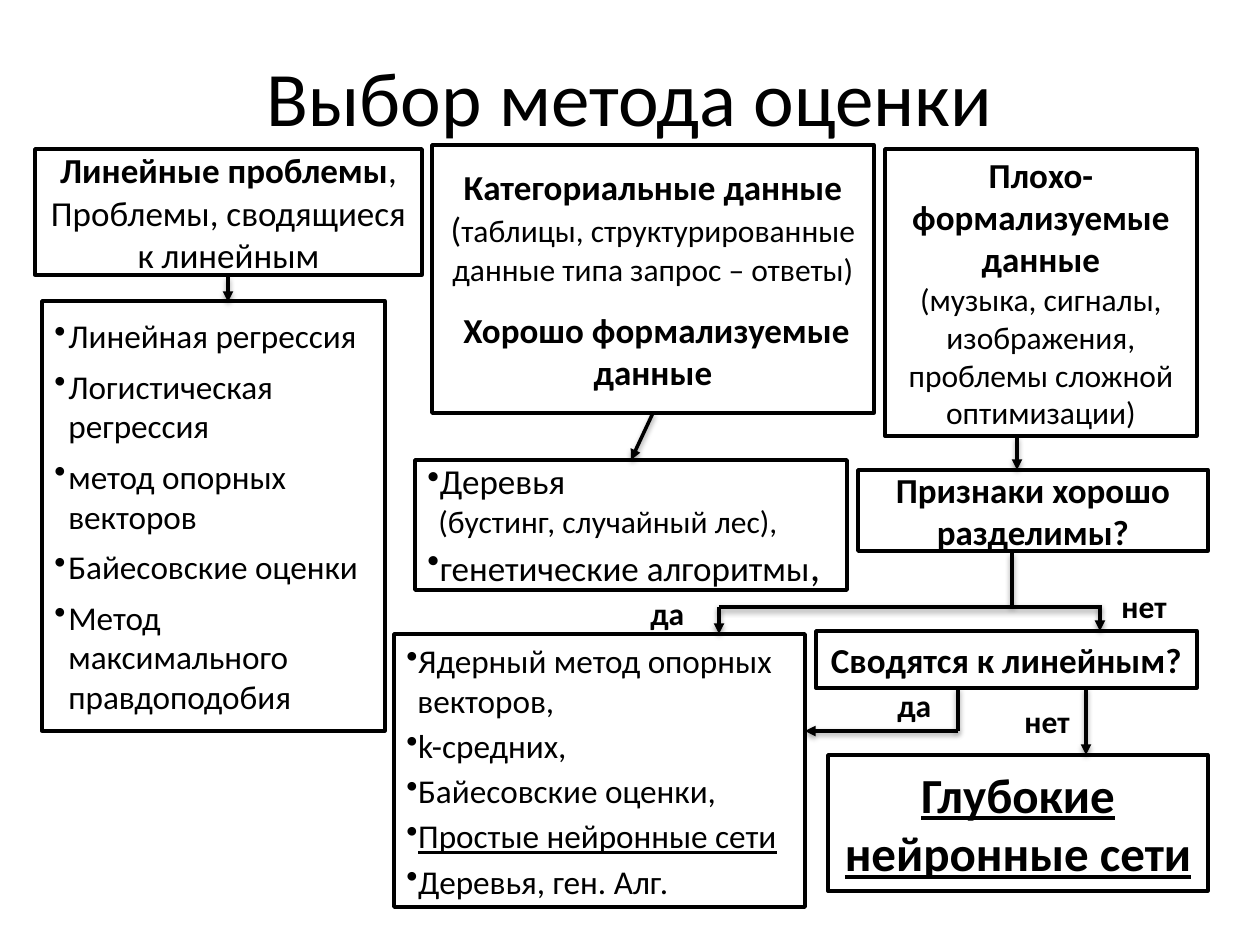
import dataclasses

import lxml.etree
import pptx
import pptx.dml.color
import pptx.enum.shapes
import pptx.enum.text
import pptx.oxml
import pptx.oxml.ns
import pptx.util

ALIGN = pptx.enum.text.PP_ALIGN
ANCHOR = pptx.enum.text.MSO_ANCHOR
qn = pptx.oxml.ns.qn


@dataclasses.dataclass(frozen=True)
class Theme:
    font: str = "Calibri"
    ink: str = "000000"
    paper: str = "FFFFFF"
    title: int = 44
    result: int = 28
    mark: int = 24
    heading: int = 20
    item: int = 19
    detail: int = 18
    line: int = 2


THEME = Theme()


def px(length):
    return pptx.util.Emu(round(length * 914400 / 126))


def color(value):
    return pptx.dml.color.RGBColor.from_string(value)


def span(text, size=THEME.heading, bold=False, underline=False):
    return {"text": text, "size": size, "bold": bold, "underline": underline}


class Painter:
    def __init__(self, page, theme):
        self.page = page
        self.theme = theme

    def set_text(self, box, paragraphs, align=ALIGN.CENTER, bullet_indent=0, before=0, after=0):
        frame = box.text_frame
        for index, spans in enumerate(paragraphs):
            para = frame.paragraphs[0] if index == 0 else frame.add_paragraph()
            para.alignment = align
            if bullet_indent:
                props = para._p.get_or_add_pPr()
                props.set("marL", str(px(bullet_indent)))
                props.set("indent", str(-px(bullet_indent)))
                lxml.etree.SubElement(props, qn("a:buChar"), char="•")
            para.space_before = pptx.util.Pt(before if index else 0)
            para.space_after = pptx.util.Pt(after)
            for part in spans:
                run = para.add_run()
                run.text = part["text"].rstrip("\n")
                run.font.name = self.theme.font
                run.font.size = pptx.util.Pt(part["size"])
                run.font.bold = part["bold"]
                run.font.underline = part["underline"]
                run.font.color.rgb = color(self.theme.ink)
                if part["text"].endswith("\n"):
                    para.add_line_break()

    def label(self, place, text, size, bold=False, wrap=False, anchor=ANCHOR.TOP, align=ALIGN.LEFT):
        box = self.page.shapes.add_textbox(*map(px, place))
        box.text_frame.word_wrap = wrap
        box.text_frame.vertical_anchor = anchor
        self.set_text(box, [[span(text, size, bold)]], align)

    def box(self, place, paragraphs, **layout):
        box = self.page.shapes.add_shape(pptx.enum.shapes.MSO_SHAPE.RECTANGLE, *map(px, place))
        box.shadow.inherit = False
        box.fill.solid()
        box.fill.fore_color.rgb = color(self.theme.paper)
        box.line.color.rgb = color(self.theme.ink)
        box.line.width = pptx.util.Pt(self.theme.line)
        box.text_frame.word_wrap = True
        box.text_frame.vertical_anchor = ANCHOR.MIDDLE
        self.set_text(box, paragraphs, **layout)

    def bullets(self, place, paragraphs, indent, after):
        self.box(place, paragraphs, align=ALIGN.LEFT, bullet_indent=indent, after=after)

    def line(self, start, end, arrow=True):
        line = self.page.shapes.add_connector(
            pptx.enum.shapes.MSO_CONNECTOR.STRAIGHT, *map(px, start + end))
        line.line.color.rgb = color(self.theme.ink)
        line.line.width = pptx.util.Pt(self.theme.line)
        props = line._element.spPr
        if arrow:
            lxml.etree.SubElement(props.find(qn("a:ln")), qn("a:tailEnd"), type="triangle")
        effects = lxml.etree.SubElement(props, qn("a:effectLst"))
        shadow = lxml.etree.SubElement(effects, qn("a:outerShdw"), blurRad="40000",
                                       dist="20000", dir="5400000", rotWithShape="0")
        shade = lxml.etree.SubElement(shadow, qn("a:srgbClr"), val=self.theme.ink)
        lxml.etree.SubElement(shade, qn("a:alpha"), val="38000")


def draw_boxes(painter):
    theme = painter.theme
    painter.box((35, 149, 387, 126), [
        [span("Линейные проблемы", bold=True), span(",")],
        [span("Проблемы, сводящиеся к линейным")]])
    painter.bullets((42, 301, 343, 430), [[span(text, theme.item)] for text in (
        "Линейная регрессия", "Логистическая регрессия", "метод опорных векторов",
        "Байесовские оценки", "Метод максимального правдоподобия")], indent=14, after=6)
    painter.box((432, 145, 442, 268), [
        [span("Категориальные данные\n", bold=True), span("("),
         span("таблицы, структурированные данные типа запрос – ответы)", theme.detail)],
        [span(" ", theme.detail), span("Хорошо формализуемые данные", bold=True)]], before=12)
    painter.bullets((415, 460, 432, 130), [
        [span("Деревья\n"), span("(бустинг, случайный лес),", theme.detail)],
        [span("генетические алгоритмы"), span(",", theme.mark)]], indent=11, after=0)
    painter.box((885, 149, 312, 287), [
        [span("Плохо-формализуемые данные", bold=True)],
        [span("(музыка, сигналы, изображения, проблемы сложной оптимизации)", theme.detail)]])
    painter.box((858, 470, 350, 81), [[span("Признаки хорошо разделимы?", bold=True)]])
    painter.bullets((394, 634, 411, 273), [
        [span(text, theme.item, underline=text == "Простые нейронные сети")] for text in (
            "Ядерный метод опорных векторов,", "k-средних,", "Байесовские оценки,",
            "Простые нейронные сети", "Деревья, ген. Алг.")], indent=11, after=3)
    painter.box((828, 755, 380, 136), [
        [span("Глубокие нейронные сети", theme.result, bold=True, underline=True)]])
    painter.box((816, 631, 381, 57), [[span("Сводятся к линейным?", bold=True)]])


def draw_links(painter):
    for start, end in (
            ((719, 607), (719, 634)), ((1086, 688), (1086, 755)),
            ((1100, 605), (1100, 631)), ((228, 277), (228, 302)),
            ((653, 413), (631, 460)), ((1017, 437), (1017, 470)),
            ((958, 731), (805, 731))):
        painter.line(start, end)
    for start, end in (
            ((719, 607), (1100, 607)), ((1012, 606), (1012, 553)),
            ((958, 731), (958, 688))):
        painter.line(start, end, arrow=False)


def main():
    deck = pptx.Presentation()
    deck.slide_width, deck.slide_height = px(1260), px(945)
    page = deck.slides.add_slide(deck.slide_layouts[6])
    painter = Painter(page, THEME)
    painter.label((63, 38, 1134, 115), "Выбор метода оценки", THEME.title,
                  wrap=True, anchor=ANCHOR.MIDDLE, align=ALIGN.CENTER)
    draw_boxes(painter)
    draw_links(painter)
    for left, top, width, text in (
            (638, 588, 59, "да"), (1109, 581, 71, "нет"),
            (885, 680, 59, "да"), (1012, 696, 71, "нет")):
        painter.label((left, top, width, 50), text, THEME.detail, bold=True)
    deck.save("out.pptx")


if __name__ == "__main__":
    main()
